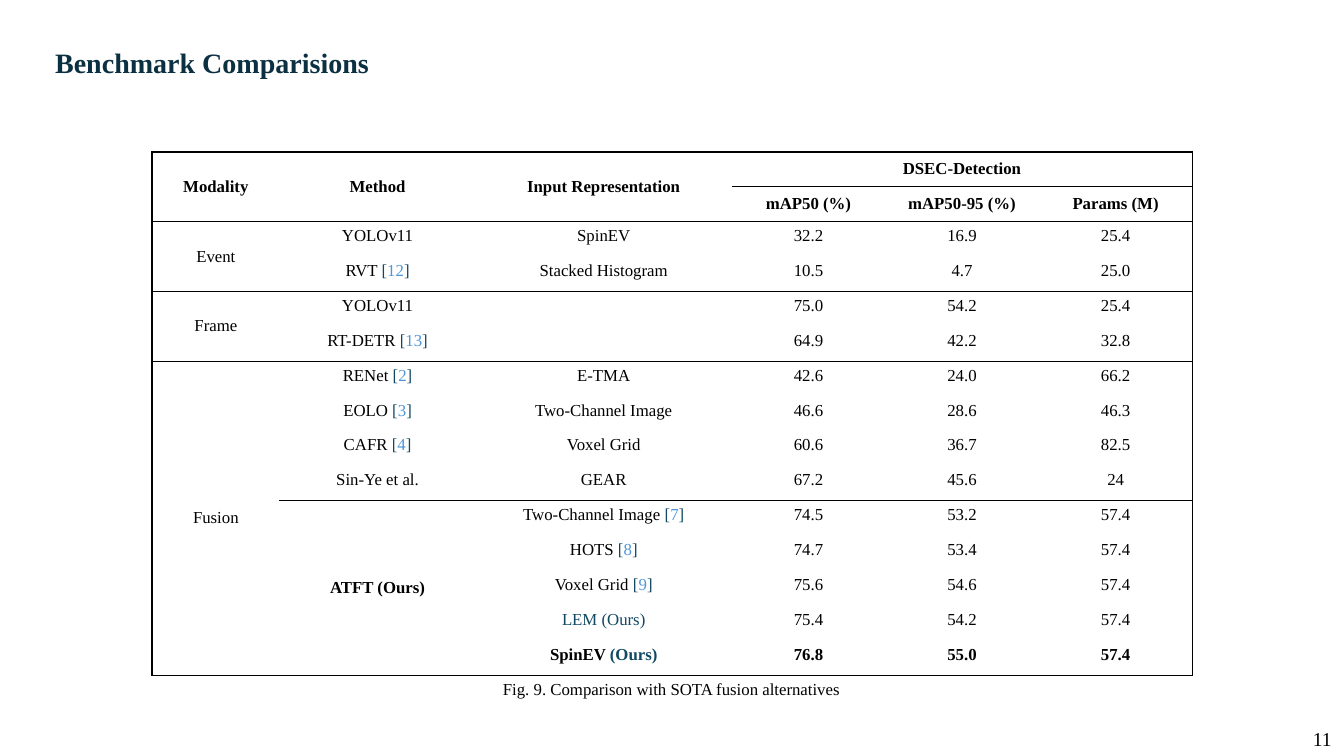
from lxml import etree
from pptx import Presentation
from pptx import util as u
from pptx.dml import color
from pptx.enum import text
from pptx.oxml import ns

INK, NAVY, TEAL, SKY, WHITE = "000000", "0B3041", "104862", "4E95D9", "FFFFFF"
COLS = [3.2, 4.95, 6.45, 3.87, 3.87, 3.87]
RULES = {0: 3, 1: 0, 3: 0, 5: 0, 9: 1}
SPANS = {(0, 0): (2, 1), (0, 1): (2, 1), (0, 2): (2, 1), (0, 3): (1, 3),
         (2, 0): (2, 1), (4, 0): (2, 1), (6, 0): (9, 1), (10, 1): (5, 1)}


def rgb(code):
    return color.RGBColor.from_string(code)


def cite(name, num):
    return [(name + " ", INK), ("[", TEAL), (num, SKY), ("]", TEAL)]


ROWS = [
    ["Modality", "Method", "Input Representation", "DSEC-Detection", "", ""],
    ["", "", "", "mAP50 (%)", "mAP50-95 (%)", "Params (M)"],
    ["Event", "YOLOv11", "SpinEV", "32.2", "16.9", "25.4"],
    ["", cite("RVT", "12"), "Stacked Histogram", "10.5", "4.7", "25.0"],
    ["Frame", "YOLOv11", "", "75.0", "54.2", "25.4"],
    ["", cite("RT-DETR", "13"), "", "64.9", "42.2", "32.8"],
    ["Fusion", cite("RENet", "2"), "E-TMA", "42.6", "24.0", "66.2"],
    ["", cite("EOLO", "3"), "Two-Channel Image", "46.6", "28.6", "46.3"],
    ["", cite("CAFR", "4"), "Voxel Grid", "60.6", "36.7", "82.5"],
    ["", "Sin-Ye et al.", "GEAR", "67.2", "45.6", "24"],
    ["", "ATFT (Ours)", cite("Two-Channel Image", "7"), "74.5", "53.2", "57.4"],
    ["", "", cite("HOTS", "8"), "74.7", "53.4", "57.4"],
    ["", "", cite("Voxel Grid", "9"), "75.6", "54.6", "57.4"],
    ["", "", [("LEM (Ours)", TEAL)], "75.4", "54.2", "57.4"],
    ["", "", [("SpinEV ", INK), ("(Ours)", TEAL)], "76.8", "55.0", "57.4"],
]


class Page:
    """Holds the type style and the current slide."""

    def __init__(self, slide, face):
        self.slide, self.face = slide, face

    def words(self, para, runs, size, bold=False, center=True):
        para.alignment = text.PP_ALIGN.CENTER if center else text.PP_ALIGN.LEFT
        for part, tint in runs:
            run = para.add_run()
            run.text = part
            run.font.name, run.font.size = self.face, u.Pt(size)
            run.font.bold = bold
            run.font.color.rgb = rgb(tint)

    def label(self, box, line, size, tint=INK, bold=False, center=True):
        frame = self.slide.shapes.add_textbox(*map(u.Cm, box)).text_frame
        frame.word_wrap = True
        self.words(frame.paragraphs[0], [(line, tint)], size, bold, center)

    def edge(self, cell, side, width):
        props = cell._tc.get_or_add_tcPr()
        line = etree.SubElement(props, ns.qn("a:ln" + side))
        if not width:
            etree.SubElement(line, ns.qn("a:noFill"))
            return
        line.set("w", str(u.Pt(width)))
        fill = etree.SubElement(line, ns.qn("a:solidFill"))
        etree.SubElement(fill, ns.qn("a:srgbClr")).set("val", INK)

    def cell(self, grid, row, col, value):
        cell = grid.cell(row, col)
        high, wide = SPANS.get((row, col), (1, 1))
        last = row + high - 1

        def rule(line):
            if line in (-1, len(ROWS) - 1):
                return 1.5
            return 1 if col >= RULES.get(line, len(COLS)) else 0

        self.edge(cell, "L", 0 if col else 1.5)
        self.edge(cell, "R", 1.5 if col + wide == len(COLS) else 0)
        self.edge(cell, "T", rule(row - 1))
        self.edge(cell, "B", rule(last))
        cell.fill.solid()
        cell.fill.fore_color.rgb = rgb(WHITE)
        middle = row < 2 or high > 1
        cell.vertical_anchor = text.MSO_ANCHOR.MIDDLE if middle else text.MSO_ANCHOR.TOP
        para = cell.text_frame.paragraphs[0]
        if value:
            runs = [(value, INK)] if isinstance(value, str) else value
            bold = row in (0, 1, len(ROWS) - 1) or value == "ATFT (Ours)"
            self.words(para, runs, 12, bold)
        else:
            etree.SubElement(para._p, ns.qn("a:endParaRPr")).set("sz", "1200")

    def table(self, left, top, high):
        box = map(u.Cm, (left, top, sum(COLS), high))
        grid = self.slide.shapes.add_table(len(ROWS), len(COLS), *box).table
        grid.first_row = grid.horz_banding = False
        for col, width in zip(grid.columns, COLS):
            col.width = u.Cm(width)
        for row in grid.rows:
            row.height = u.Cm(high / len(ROWS))
        for (row, col), (tall, wide) in SPANS.items():
            grid.cell(row, col).merge(grid.cell(row + tall - 1, col + wide - 1))
        for row, values in enumerate(ROWS):
            for col, value in enumerate(values):
                self.cell(grid, row, col, value)


def main():
    deck = Presentation()
    deck.slide_width, deck.slide_height = u.Cm(33.87), u.Cm(19.05)
    page = Page(deck.slides.add_slide(deck.slide_layouts[6]), "Times New Roman")
    page.label((1.14, 1.02, 24.82, 1.11), "Benchmark Comparisions", 20, NAVY, True, False)
    page.label((32.79, 18.19, 1.07, 0.86), "11", 14)
    page.table(3.84, 3.82, 13.2)
    page.label((11.73, 16.97, 10.39, 0.76),
               "Fig. 9. Comparison with SOTA fusion alternatives", 12)
    deck.save("out.pptx")


if __name__ == "__main__":
    main()
